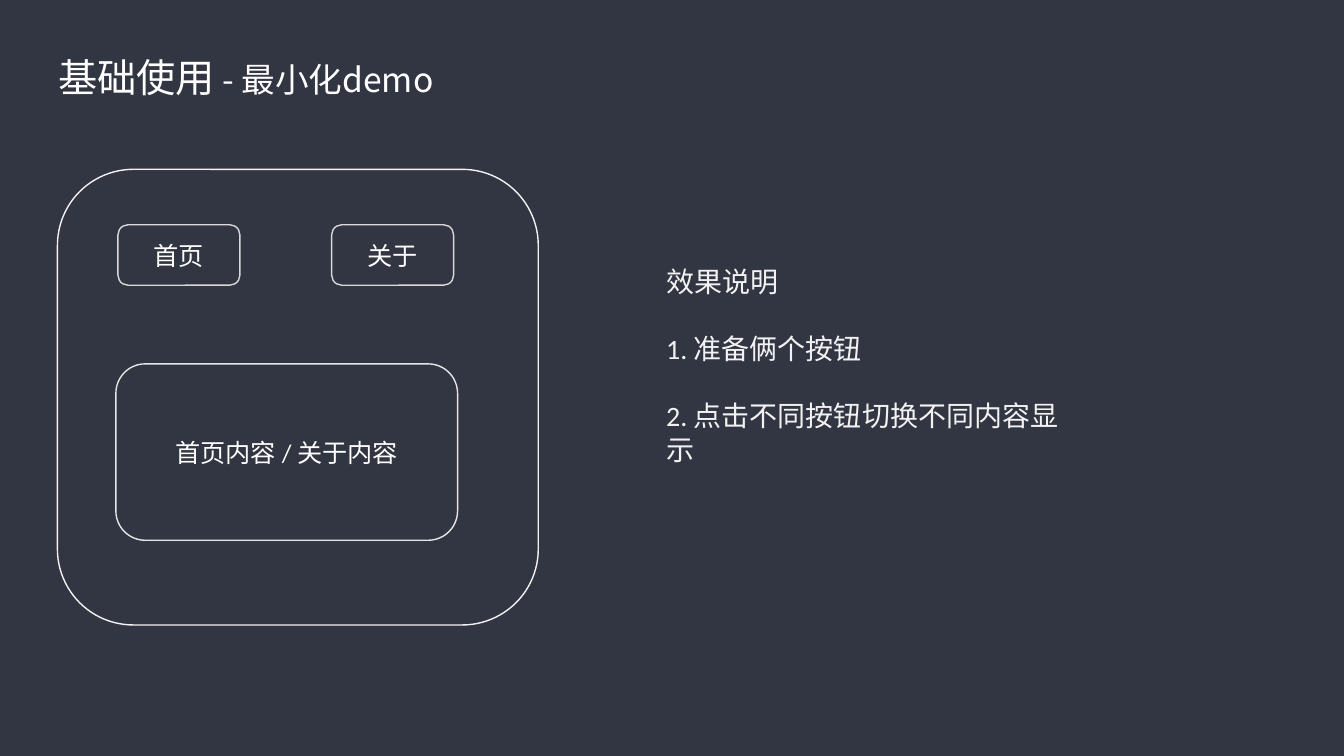
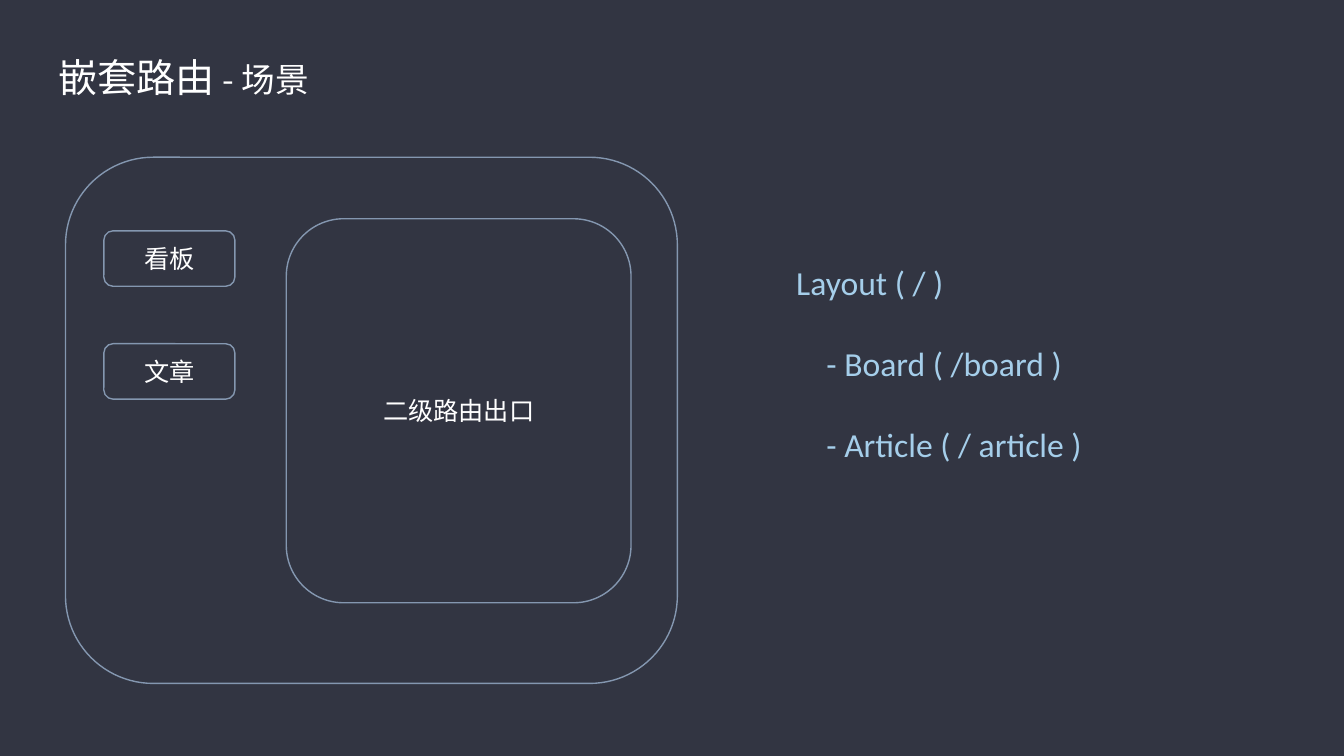
from pptx import Presentation, util as u
from pptx.dml.color import RGBColor
from pptx.enum import shapes, text

COLUMNS, ROWS = 80, 45
BACKGROUND, WHITE, PALE, SKY = "323542", "FFFFFF", "F2F2F2", "A5CEEA"
BUTTON_EDGE, CONTENT_EDGE, ROUTE_EDGE = "D9D9D9", "E7E6E6", "8497B0"
TITLE_FONT, BODY_FONT = "Noto Sans CJK SC", "Calibri"


def rgb(value):
    """Turn a hex string into a colour."""
    return RGBColor.from_string(value)


def apply(target, **values):
    """Set each given attribute on the target."""
    for name, value in values.items():
        setattr(target, name, value)


class Deck:
    """Holds the shared style and the current slide."""

    def __init__(self):
        """Open a wide presentation with a dark master."""
        self.prs = Presentation()
        apply(self.prs, slide_width=u.Inches(13.33), slide_height=u.Inches(7.5))
        fill = self.prs.slide_master.background.fill
        fill.solid()
        fill.fore_color.rgb = rgb(BACKGROUND)
        self.slide = None

    def place(self, column, row, columns, rows):
        """Convert grid cells to left, top, width and height."""
        across = self.prs.slide_width / COLUMNS
        down = self.prs.slide_height / ROWS
        return [u.Emu(round(cells * size)) for cells, size in
                zip((column, row, columns, rows), (across, down, across, down))]

    def add_words(self, paragraph, words, size, color=WHITE, font=BODY_FONT):
        """Add one styled run to a paragraph."""
        run = paragraph.add_run()
        run.text = words
        apply(run.font, size=u.Pt(size), name=font)
        run.font.color.rgb = rgb(color)

    def text_frame(self, cells):
        """Add a wrapping text box and return its frame."""
        frame = self.slide.shapes.add_textbox(*self.place(*cells)).text_frame
        frame.word_wrap = True
        return frame

    def new_slide(self, topic, detail):
        """Start a slide with its two-part title."""
        self.slide = self.prs.slides.add_slide(self.prs.slide_layouts[6])
        heading = self.text_frame((2.88, 2.88, 33.12, 3.42)).paragraphs[0]
        self.add_words(heading, topic, 28, font=TITLE_FONT)
        self.add_words(heading, f" - {detail}", 24, font=TITLE_FONT)

    def panel(self, cells, edge, label=""):
        """Draw an outlined rounded panel with an optional label."""
        panel = self.slide.shapes.add_shape(
            shapes.MSO_SHAPE.ROUNDED_RECTANGLE, *self.place(*cells))
        panel.shadow.inherit = False
        panel.fill.background()
        panel.line.width = u.Pt(1)
        panel.line.color.rgb = rgb(edge)
        if label:
            panel.text_frame.vertical_anchor = text.MSO_ANCHOR.MIDDLE
            paragraph = panel.text_frame.paragraphs[0]
            paragraph.alignment = text.PP_ALIGN.CENTER
            self.add_words(paragraph, label, 18)

    def buttons(self, labels, first, edge, across=0, down=0):
        """Draw equal buttons at a constant step."""
        column, row, columns, rows = first
        for i, label in enumerate(labels):
            self.panel((column + i * across, row + i * down, columns, rows),
                       edge, label)

    def notes(self, cells, lines, size, color, gap, indent=0):
        """Set spaced lines, indenting those below the heading."""
        frame = self.text_frame(cells)
        for i, line in enumerate(lines):
            paragraph = frame.add_paragraph() if i else frame.paragraphs[0]
            if i:
                paragraph.space_before = u.Pt(gap)
                if indent:
                    paragraph._p.get_or_add_pPr().set("marL", str(u.Inches(indent)))
            self.add_words(paragraph, line, size, color)


def basic_demo(deck):
    """Build the minimal demo slide."""
    deck.new_slide("基础使用", "最小化demo")
    deck.notes((39.06, 15.42, 26.16, 16.38),
               ["效果说明", "1. 准备俩个按钮", "2. 点击不同按钮切换不同内容显示"],
               20, PALE, gap=24)
    deck.panel((3.42, 10.08, 28.62, 27.12), PALE)
    deck.buttons(["首页", "关于"], (7.02, 13.38, 7.26, 3.6), BUTTON_EDGE,
                 across=12.72)
    deck.panel((6.9, 21.66, 20.34, 10.5), CONTENT_EDGE, "首页内容 / 关于内容")


def nested_routes(deck):
    """Build the nested routing slide."""
    deck.new_slide("嵌套路由", "场景")
    deck.buttons(["看板", "文章"], (6.18, 13.74, 7.8, 3.3), ROUTE_EDGE, down=6.72)
    deck.panel((17.04, 13.02, 20.52, 22.86), ROUTE_EDGE, "二级路由出口")
    deck.notes((46.8, 15.3, 18.4, 12.72),
               ["Layout ( / )", "- Board ( /board )", "- Article ( / article )"],
               24, SKY, gap=29, indent=0.3)
    deck.panel((3.9, 9.36, 36.42, 31.32), ROUTE_EDGE)


deck = Deck()
basic_demo(deck)
nested_routes(deck)
deck.prs.save("out.pptx")
